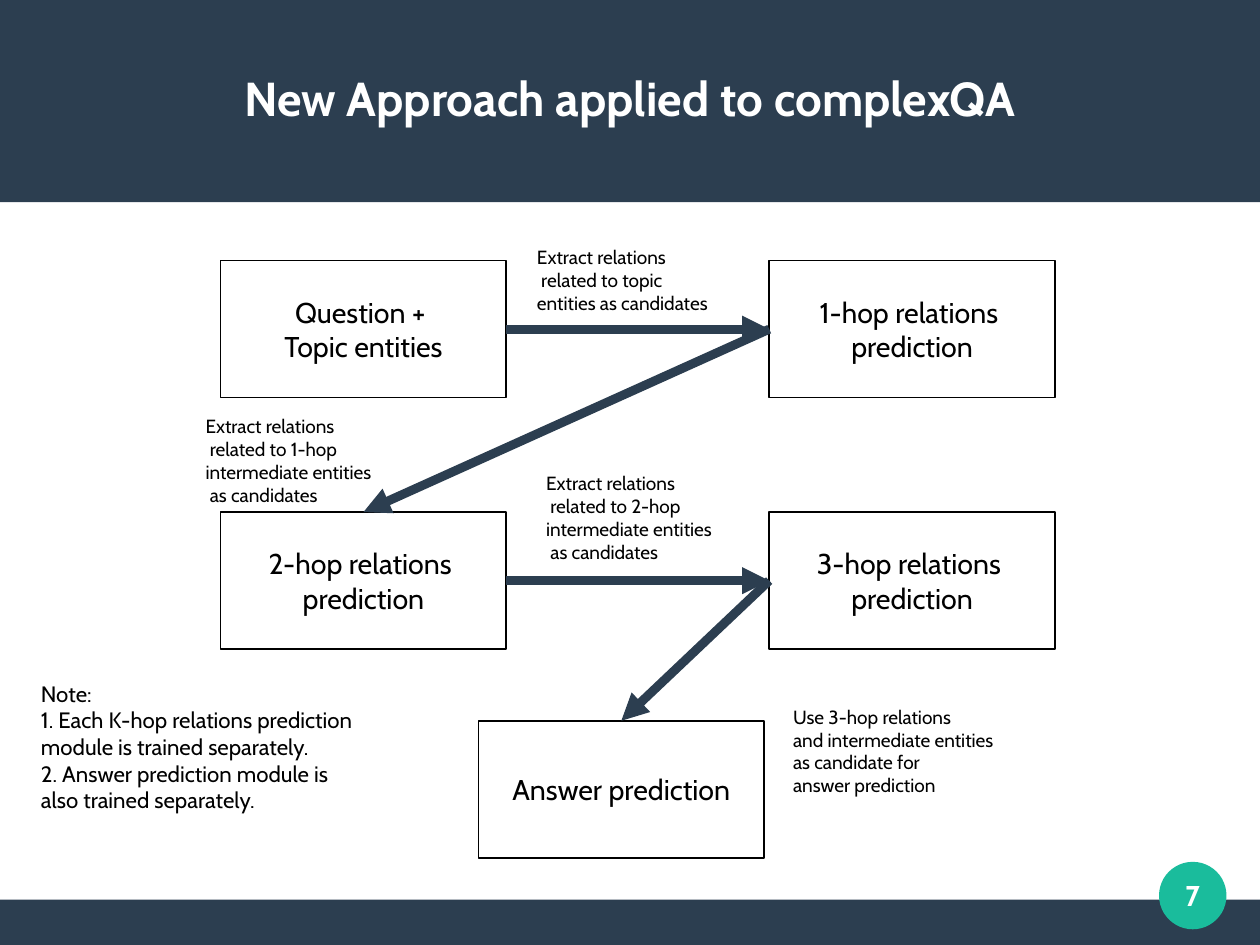
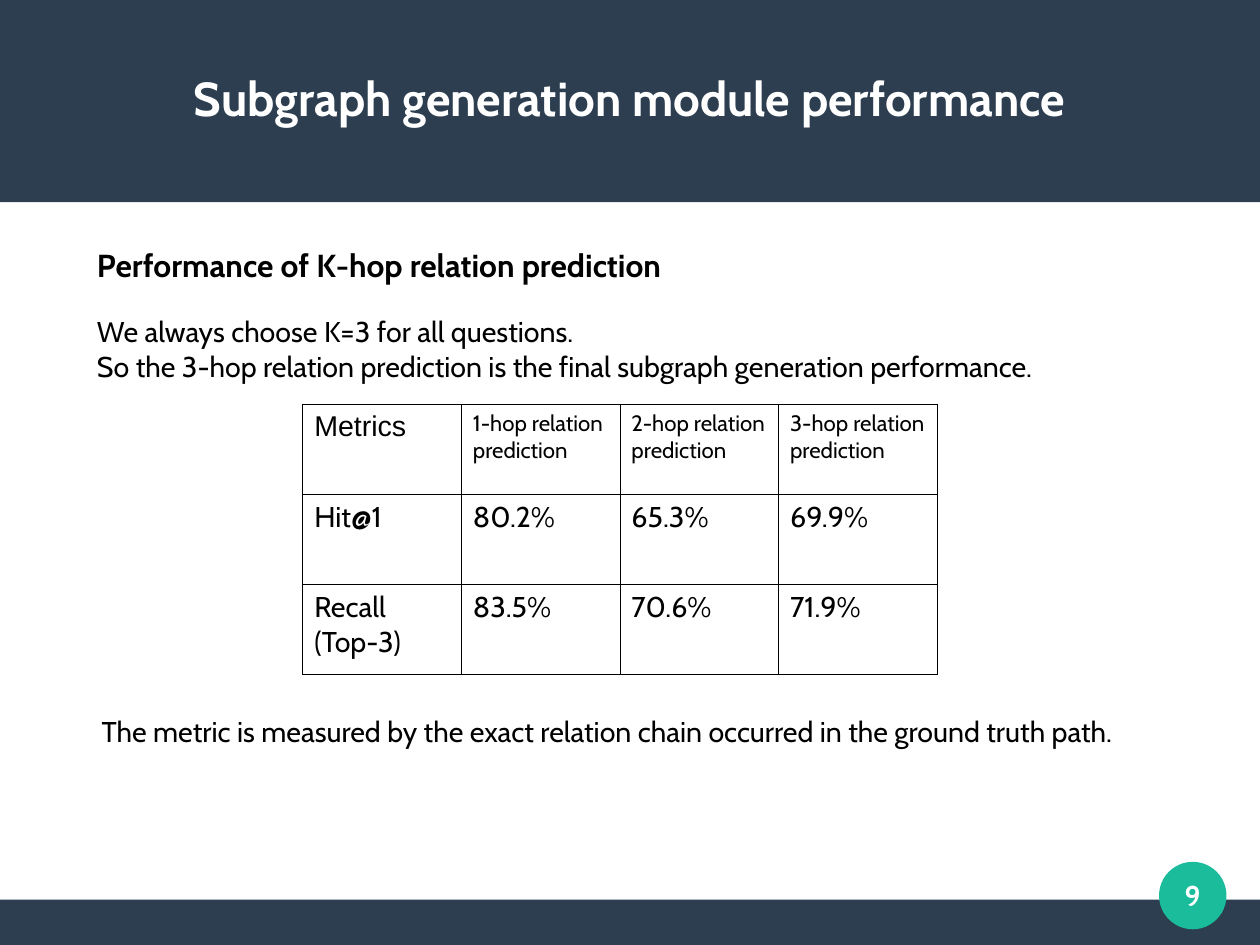
from dataclasses import dataclass
from typing import NamedTuple

from lxml.etree import SubElement
from pptx import Presentation
from pptx.dml.color import RGBColor
from pptx.enum.shapes import MSO_CONNECTOR, MSO_SHAPE
from pptx.enum.text import MSO_ANCHOR, PP_ALIGN
from pptx.oxml.ns import qn
from pptx.util import Cm, Inches, Pt

PAGE = (Cm(28), Cm(21))
WIDE, HIGH = (side.inches for side in PAGE)


@dataclass(frozen=True)
class Theme:
    navy: RGBColor = RGBColor(0x2C, 0x3E, 0x50)
    green: RGBColor = RGBColor(0x1A, 0xBC, 0x9C)
    white: RGBColor = RGBColor(0xFF, 0xFF, 0xFF)
    black: RGBColor = RGBColor(0, 0, 0)
    font: str = "Cabin"
    plain: str = "Arial"
    title: int = 30
    head: int = 20
    body: int = 18
    note: int = 14
    label: int = 12
    edge: float = 1
    arrow: float = 5.67
    rule: float = 0.57


THEME = Theme()


class Area(NamedTuple):
    left: float
    top: float
    width: float
    height: float

    def emu(self) -> list:
        return [Inches(side) for side in self]


@dataclass(frozen=True)
class Grid:
    left: float
    top: float
    across: float
    down: float
    width: float
    height: float

    def cell(self, col: float, row: float) -> Area:
        return Area(self.left + col * self.across, self.top + row * self.down,
                    self.width, self.height)


class Node(NamedTuple):
    name: str
    col: float
    row: float
    text: str


class Link(NamedTuple):
    start: str
    out: int
    end: str
    into: int


class Label(NamedTuple):
    area: Area
    text: str
    size: int
    bold: bool = False


TOP, LEFT, RIGHT = 0, 1, 3
FLOW = Grid(1.93, 2.28, 4.8, 2.2, 2.5, 1.2)
NODES = [
    Node("topic", 0, 0, "Question + \nTopic entities"),
    Node("one", 1, 0, "1-hop relations \nprediction"),
    Node("two", 0, 1, "2-hop relations \nprediction"),
    Node("three", 1, 1, "3-hop relations \nprediction"),
    Node("answer", 0.47, 1.83, "Answer prediction"),
]
LINKS = [
    Link("topic", RIGHT, "one", LEFT),
    Link("one", LEFT, "two", TOP),
    Link("two", RIGHT, "three", LEFT),
    Link("three", LEFT, "answer", TOP),
]
HOP = "Extract relations\n related to {}-hop\nintermediate entities\n as candidates"
NOTES = [
    Label(Area(4.6, 2.1, 2.03, 0.78),
          "Extract relations\n related to topic\nentities as candidates", THEME.label),
    Label(Area(1.7, 3.58, 1.94, 1.01), HOP.format(1), THEME.label),
    Label(Area(4.68, 4.08, 1.94, 1.01), HOP.format(2), THEME.label),
    Label(Area(6.84, 6.12, 2.36, 1.01),
          "Use 3-hop relations\nand intermediate entities\nas candidate for\nanswer prediction",
          THEME.label),
    Label(Area(0.26, 5.9, 3.54, 1.42),
          "Note:\n1. Each K-hop relations prediction\nmodule is trained separately.\n"
          "2. Answer prediction module is\nalso trained separately.", THEME.note),
]
REMARKS = [
    Label(Area(0.75, 2.1, 8.05, 0.75), "Performance of K-hop relation prediction",
          THEME.head, True),
    Label(Area(0.75, 2.7, 10.01, 0.78),
          "We always choose K=3 for all questions.\n"
          "So the 3-hop relation prediction is the final subgraph generation performance.",
          THEME.body),
    Label(Area(0.79, 6.2, 10.01, 0.78),
          "The metric is measured by the exact relation chain occurred in the ground truth path.",
          THEME.body),
]
SCORES = [
    ["Metrics", *(f"{hop}-hop relation prediction" for hop in (1, 2, 3))],
    ["Hit@1", "80.2%", "65.3%", "69.9%"],
    ["Recall (Top-3)", "83.5%", "70.6%", "71.9%"],
]


def write(frame, text: str, size: int, color=THEME.black, bold=False,
          align=PP_ALIGN.LEFT, font=THEME.font) -> None:
    frame.text = text
    for para in frame.paragraphs:
        para.alignment = align
        para.font.size = Pt(size)
        para.font.name = font
        para.font.bold = bold
        para.font.color.rgb = color


def center(frame, text: str, size: int, color=THEME.white, bold=True) -> None:
    frame.margin_left = frame.margin_right = 0
    frame.margin_top = frame.margin_bottom = 0
    frame.word_wrap = True
    frame.vertical_anchor = MSO_ANCHOR.MIDDLE
    write(frame, text, size, color, bold, PP_ALIGN.CENTER)


def block(slide, area: Area, fill=None, kind=MSO_SHAPE.RECTANGLE):
    shape = slide.shapes.add_shape(kind, *area.emu())
    shape.shadow.inherit = False
    if fill is None:
        shape.fill.background()
        shape.line.color.rgb = THEME.black
        shape.line.width = Pt(THEME.edge)
    else:
        shape.fill.solid()
        shape.fill.fore_color.rgb = fill
        shape.line.fill.background()
    return shape


def label(slide, item: Label) -> None:
    frame = slide.shapes.add_textbox(*item.area.emu()).text_frame
    frame.word_wrap = True
    write(frame, item.text, item.size, bold=item.bold)


def base(deck, title: str, number: int):
    slide = deck.slides.add_slide(deck.slide_layouts[6])
    block(slide, Area(0, 7.87, WIDE, HIGH - 7.87), THEME.navy)
    block(slide, Area(0, 0, WIDE, 1.77), THEME.navy)
    badge = block(slide, Area(10.14, 7.54, 0.59, 0.59), THEME.green, MSO_SHAPE.OVAL)
    center(badge.text_frame, str(number), THEME.body)
    head = slide.shapes.add_textbox(*Area(0.39, 0.33, 10.24, 1.05).emu())
    center(head.text_frame, title, THEME.title)
    return slide


def join(slide, boxes: dict, link: Link) -> None:
    line = slide.shapes.add_connector(MSO_CONNECTOR.STRAIGHT, 0, 0, 0, 0)
    line.begin_connect(boxes[link.start], link.out)
    line.end_connect(boxes[link.end], link.into)
    line.line.color.rgb = THEME.navy
    line.line.width = Pt(THEME.arrow)
    props = line._element.spPr
    SubElement(props.find(qn("a:ln")), qn("a:tailEnd"), type="triangle")
    SubElement(props, qn("a:effectLst"))


def border(cell) -> None:
    props = cell._tc.get_or_add_tcPr()
    for side in ("lnL", "lnR", "lnT", "lnB"):
        line = SubElement(props, qn(f"a:{side}"), w=str(int(Pt(THEME.rule))))
        fill = SubElement(line, qn("a:solidFill"))
        SubElement(fill, qn("a:srgbClr"), val=str(THEME.black))
    cell.fill.background()


def grid(slide, rows: list, area: Area) -> None:
    table = slide.shapes.add_table(len(rows), len(rows[0]), *area.emu()).table
    table.first_row = table.horz_banding = False
    for r, row in enumerate(rows):
        for c, text in enumerate(row):
            cell = table.cell(r, c)
            border(cell)
            size = THEME.note if r == 0 and c else THEME.body
            font = THEME.plain if r == c == 0 else THEME.font
            write(cell.text_frame, text, size, font=font)


def flow(deck) -> None:
    slide = base(deck, "New Approach applied to complexQA", 7)
    boxes = {}
    for node in NODES:
        box = block(slide, FLOW.cell(node.col, node.row))
        center(box.text_frame, node.text, THEME.body, THEME.black, False)
        boxes[node.name] = box
    for link in LINKS:
        join(slide, boxes, link)
    for item in NOTES:
        label(slide, item)


def results(deck) -> None:
    slide = base(deck, "Subgraph generation module performance", 9)
    for item in REMARKS:
        label(slide, item)
    grid(slide, SCORES, Area(2.65, 3.54, 5.55, 2.36))


def main() -> None:
    deck = Presentation()
    deck.slide_width, deck.slide_height = PAGE
    flow(deck)
    results(deck)
    deck.save("out.pptx")


if __name__ == "__main__":
    main()
